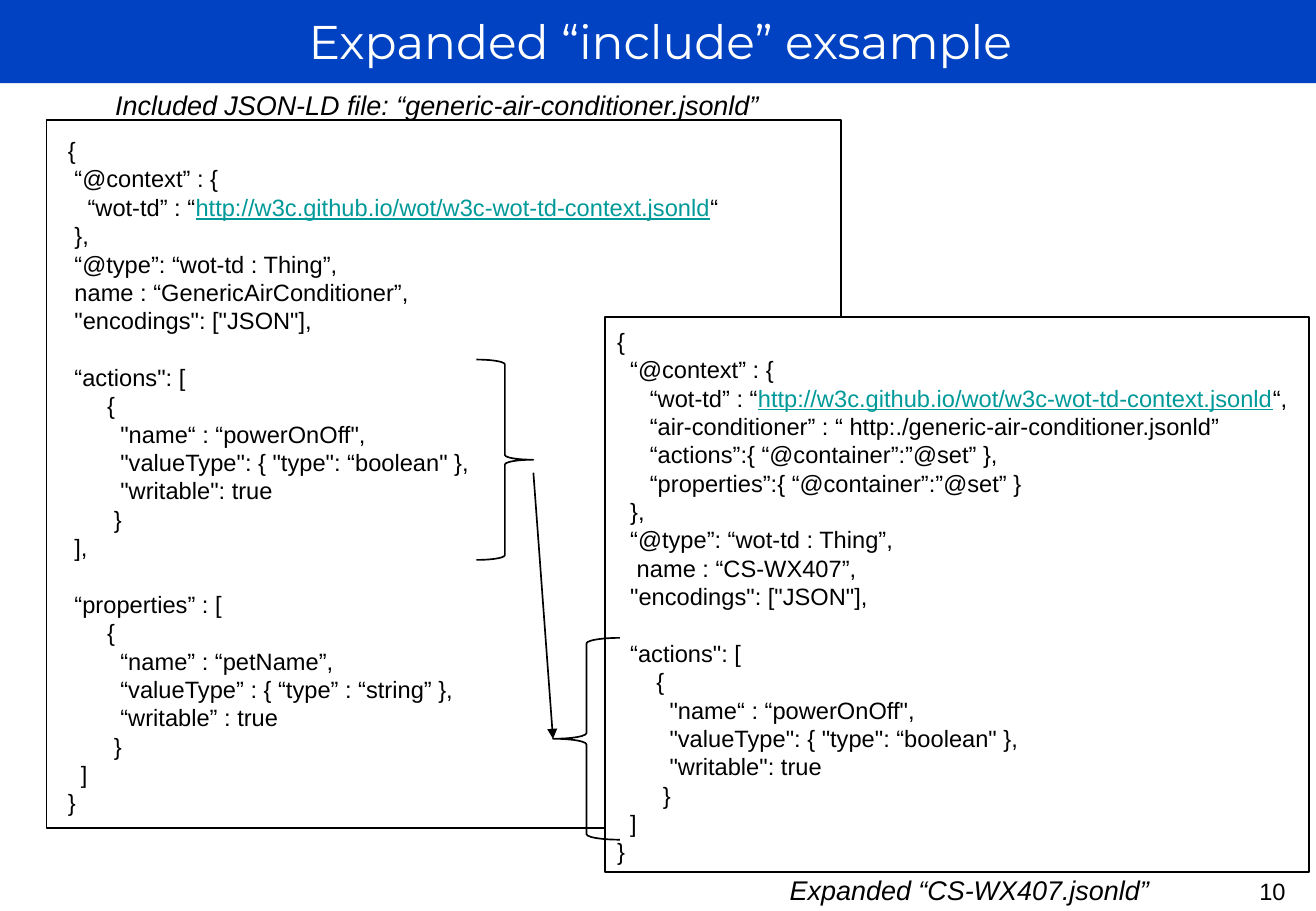
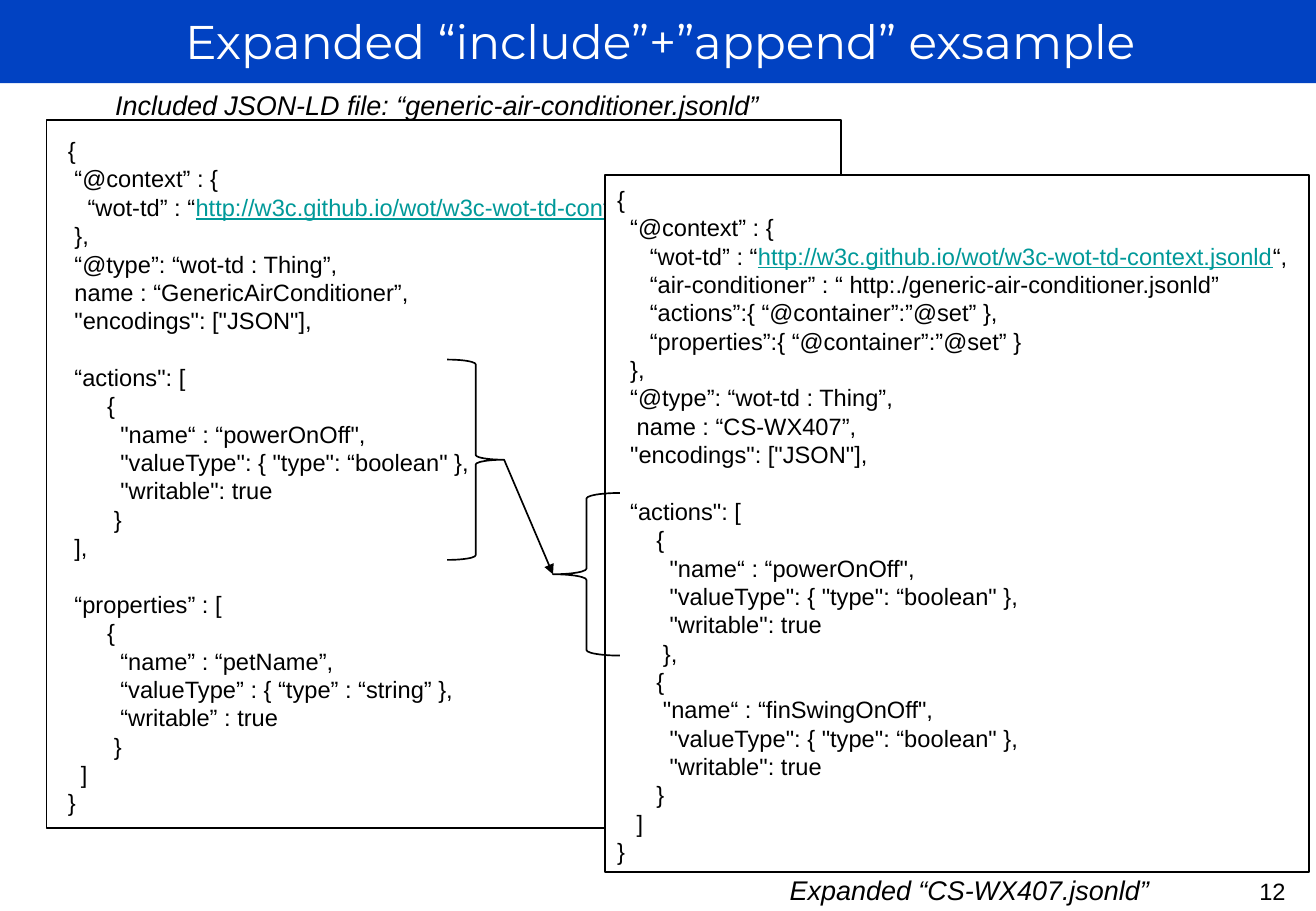
from lxml.etree import SubElement
from pptx import Presentation
from pptx.dml.color import RGBColor
from pptx.enum.shapes import MSO_CONNECTOR, MSO_SHAPE
from pptx.enum.text import MSO_ANCHOR, MSO_AUTO_SIZE, PP_ALIGN
from pptx.oxml.ns import qn
from pptx.util import Cm, Pt

BLUE, WHITE, BLACK, TEAL = "0142C2", "FFFFFF", "000000", "009999"
BODY_FONT, TITLE_FONT = "Arial", "Montserrat"
CODE_SIZE, CODE_LINE = 14, 16.8
URL = "http://w3c.github.io/wot/w3c-wot-td-context.jsonld"

SLIDE_SIZE = (27.51, 19.05)
BAND = (0, 0, 27.51, 1.74)
TITLE = (0.1, 0.13, 27.4, 1.45)
NUMBER = (25.7, 18.21, 1.8, 0.83)
GENERIC_FRAME = (0.97, 2.51, 16.61, 14.81)
GENERIC_CODE = (1.17, 2.72, 14.2, 14.63)
EXPANDED_LEFT, EXPANDED_WIDTH, EXPANDED_BOTTOM = 12.65, 14.71, 18.24
CODE_DROP = 0.08
SOURCE_BRACE_TOP, SOURCE_BRACE_SIZE = 7.52, (1.19, 4.19)
TARGET_BRACE_LEFT, TARGET_BRACE_WIDTH = 11.56, 1.4

CAPTIONS = [
    ("Included JSON-LD file: “generic-air-conditioner.jsonld”", (2.16, 1.73, 14.12, 0.94)),
    ("Expanded “CS-WX407.jsonld”", (16.26, 18.14, 8.1, 0.91)),
]

POWER_ACTION = [
    '      {',
    '        "name“ : “powerOnOff",',
    '        "valueType": { "type": “boolean" },',
    '        "writable": true',
]

GENERIC_GROUPS = [
    [
        '{',
        ' “@context” : {',
        f'   “wot-td” : “{URL}“',
        ' },',
        ' “@type”: “wot-td : Thing”,',
        ' name : “GenericAirConditioner”,',
        ' "encodings": ["JSON"],',
    ],
    [' “actions": [', *POWER_ACTION, '       }', ' ],'],
    [
        ' “properties” : [',
        '      {',
        '        “name” : “petName”,',
        '        “valueType” : { “type” : “string” },',
        '        “writable” : true',
        '       }',
        '  ]',
        '}',
    ],
]

EXPANDED_HEADER = [
    '{',
    '  “@context” : {',
    f'     “wot-td” : “{URL}“,',
    '     “air-conditioner” : “ http:./generic-air-conditioner.jsonld”',
    '     “actions”:{ “@container”:”@set” },',
    '     “properties”:{ “@container”:”@set” }',
    '  },',
    '  “@type”: “wot-td : Thing”,',
    '   name : “CS-WX407”,',
    '  "encodings": ["JSON"],',
]

INCLUDE_ACTIONS = ['  “actions": [', *POWER_ACTION, '       }', '  ]', '}']
APPEND_ACTIONS = [
    '  “actions": [',
    *POWER_ACTION,
    '       },',
    '      {',
    '       "name“ : “finSwingOnOff",',
    '        "valueType": { "type": “boolean" },',
    '        "writable": true',
    '      }',
    '   ]',
    '}',
]

SLIDES = [
    {
        "title": "Expanded “include” exsample",
        "number": "10",
        "actions": INCLUDE_ACTIONS,
        "expanded_top": 6.63,
        "source_left": 9.96,
        "target_top": 13.34,
        "target_height": 4.22,
        "arrow_gap": 0.27,
    },
    {
        "title": "Expanded “include”+”append” exsample",
        "number": "12",
        "actions": APPEND_ACTIONS,
        "expanded_top": 3.66,
        "source_left": 9.35,
        "target_top": 10.31,
        "target_height": 3.4,
        "arrow_gap": 0,
    },
]


def colour(value):
    return RGBColor.from_string(value)


def lengths(values):
    return [Cm(value) for value in values]


def add_span(para, text, size, ink=BLACK, font=BODY_FONT, italic=False, underline=False):
    span = para.add_run()
    span.text = text
    span.font.name = font
    span.font.size = Pt(size)
    span.font.italic = italic
    span.font.underline = underline
    span.font.color.rgb = colour(ink)


def add_outline(page, kind, area, fill=None, line=BLACK):
    shape = page.shapes.add_shape(kind, *lengths(area))
    shape.shadow.inherit = False
    if fill:
        shape.fill.solid()
        shape.fill.fore_color.rgb = colour(fill)
    else:
        shape.fill.background()
    if line:
        shape.line.color.rgb = colour(line)
        shape.line.width = Pt(1)
    else:
        shape.line.fill.background()
    return shape


def add_label(page, area, text, size, italic=False, align=PP_ALIGN.LEFT):
    box = page.shapes.add_textbox(*lengths(area))
    box.text_frame.word_wrap = False
    para = box.text_frame.paragraphs[0]
    para.alignment = align
    add_span(para, text, size, italic=italic)


def add_code(page, area, groups):
    frame = page.shapes.add_textbox(*lengths(area)).text_frame
    frame.word_wrap = True
    for group_index, group in enumerate(groups):
        for line_index, line in enumerate(group):
            first = group_index == line_index == 0
            para = frame.paragraphs[0] if first else frame.add_paragraph()
            para.line_spacing = Pt(CODE_LINE)
            if group_index and not line_index:
                para.space_before = Pt(CODE_LINE)
            before, link, after = line.partition(URL)
            add_span(para, before, CODE_SIZE)
            if link:
                add_span(para, link, CODE_SIZE, ink=TEAL, underline=True)
                add_span(para, after, CODE_SIZE)


def add_arrow(page, start, end):
    arrow = page.shapes.add_connector(MSO_CONNECTOR.STRAIGHT, *lengths(start + end))
    arrow.line.color.rgb = colour(BLACK)
    arrow.line.width = Pt(1)
    SubElement(arrow.line._get_or_add_ln(), qn("a:tailEnd"), type="triangle")
    SubElement(arrow._element.spPr, qn("a:effectLst"))


def set_title(page, text):
    title = page.shapes.title
    title.left, title.top, title.width, title.height = lengths(TITLE)
    frame = title.text_frame
    frame.auto_size = MSO_AUTO_SIZE.NONE
    frame.vertical_anchor = MSO_ANCHOR.MIDDLE
    para = frame.paragraphs[0]
    para.alignment = PP_ALIGN.CENTER
    add_span(para, text, 28, ink=WHITE, font=TITLE_FONT)


def add_mapping(page, content):
    width, height = SOURCE_BRACE_SIZE
    left = content["source_left"]
    target_top, target_height = content["target_top"], content["target_height"]
    add_outline(page, MSO_SHAPE.RIGHT_BRACE, (left, SOURCE_BRACE_TOP, width, height))
    add_outline(page, MSO_SHAPE.LEFT_BRACE,
                (TARGET_BRACE_LEFT, target_top, TARGET_BRACE_WIDTH, target_height))
    start = (left + width, SOURCE_BRACE_TOP + height / 2 + content["arrow_gap"])
    end = (TARGET_BRACE_LEFT, target_top + target_height / 2)
    add_arrow(page, start, end)


def add_page(deck, layout, content):
    page = deck.slides.add_slide(layout)
    set_title(page, content["title"])
    add_label(page, NUMBER, content["number"], 14, align=PP_ALIGN.CENTER)
    add_outline(page, MSO_SHAPE.RECTANGLE, GENERIC_FRAME, WHITE)
    for text, area in CAPTIONS:
        add_label(page, area, text, 16, italic=True)
    add_code(page, GENERIC_CODE, GENERIC_GROUPS)
    top = content["expanded_top"]
    height = EXPANDED_BOTTOM - top
    add_outline(page, MSO_SHAPE.RECTANGLE, (EXPANDED_LEFT, top, EXPANDED_WIDTH, height), WHITE)
    add_code(page, (EXPANDED_LEFT, top + CODE_DROP, EXPANDED_WIDTH, height),
             [EXPANDED_HEADER, content["actions"]])
    add_mapping(page, content)
    return page


def main():
    deck = Presentation()
    deck.slide_width, deck.slide_height = lengths(SLIDE_SIZE)
    layout = deck.slide_layouts.get_by_name("Title Only")
    pages = [add_page(deck, layout, content) for content in SLIDES]
    band = add_outline(pages[0], MSO_SHAPE.RECTANGLE, BAND, BLUE, None)
    layout.shapes._spTree.insert(2, band._element)
    deck.save("out.pptx")


if __name__ == "__main__":
    main()
